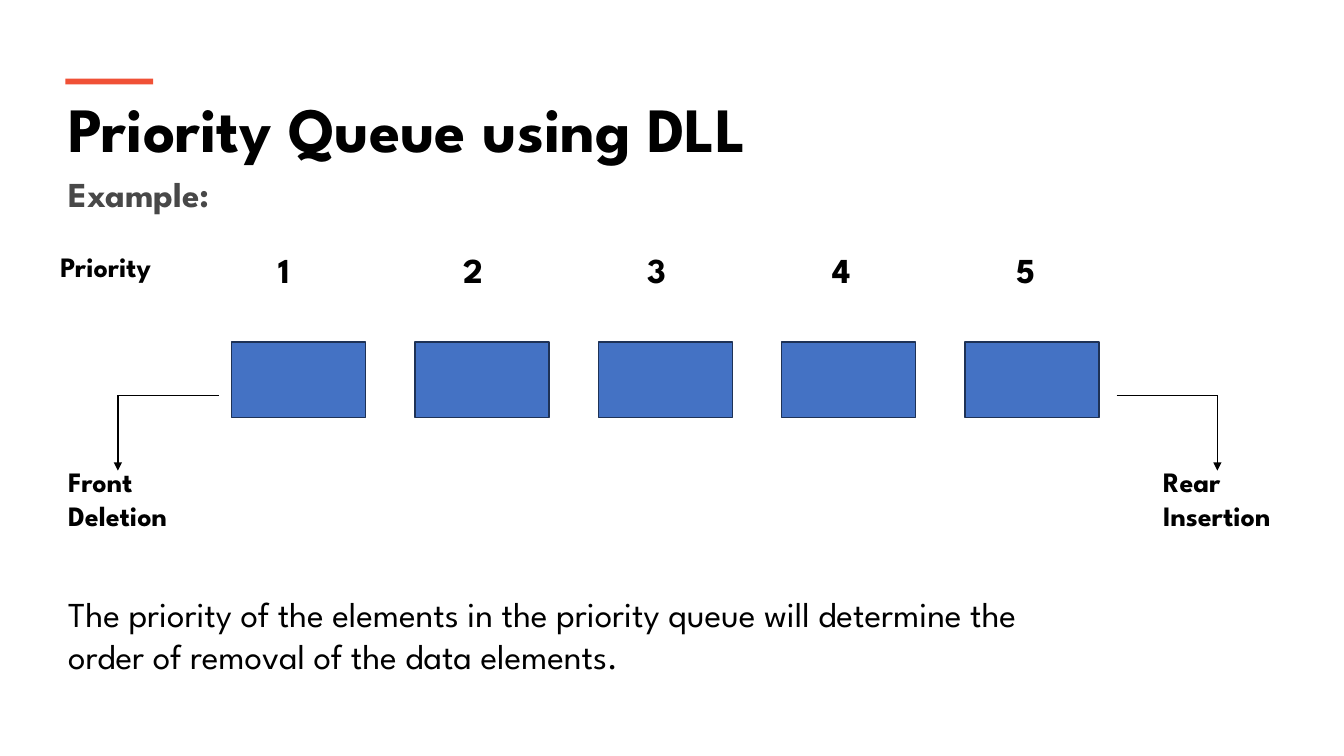
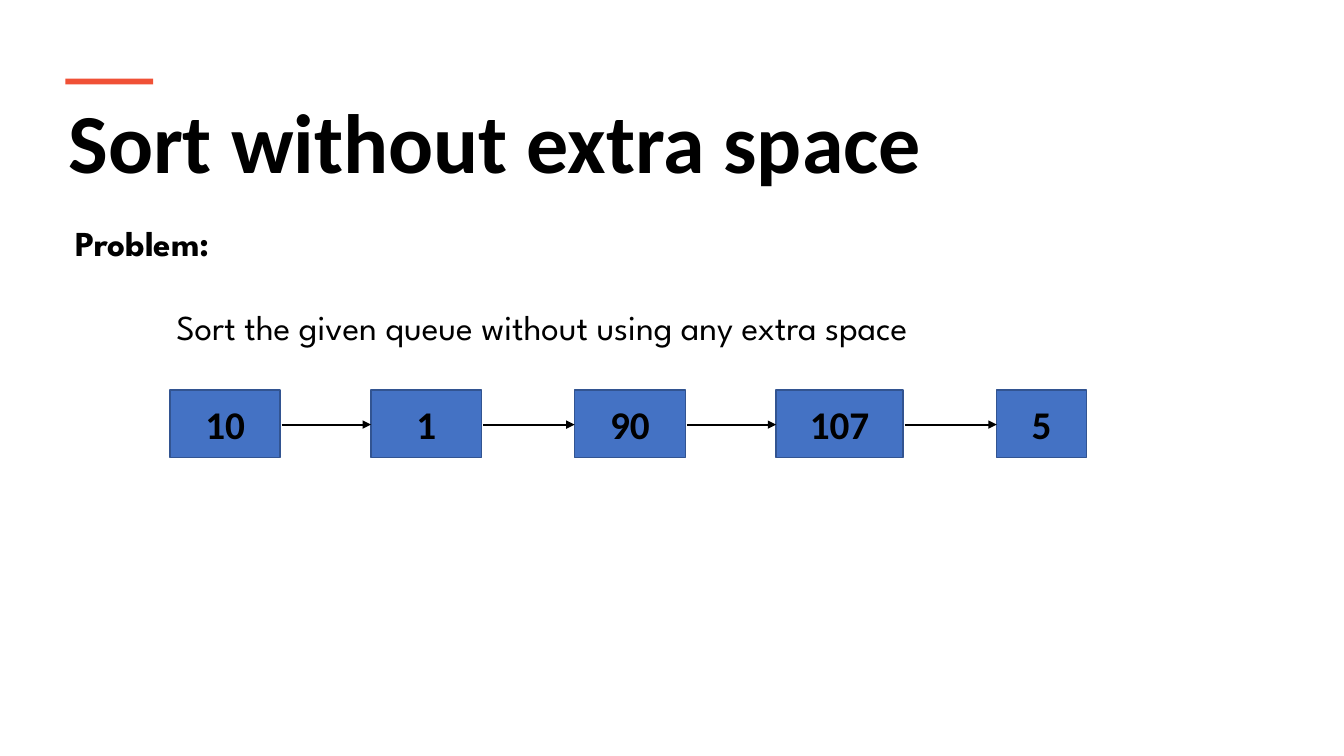
from dataclasses import dataclass
from itertools import pairwise

from lxml.etree import SubElement
from pptx import Presentation
from pptx.dml.color import RGBColor
from pptx.enum.shapes import MSO_CONNECTOR, MSO_SHAPE
from pptx.enum.text import MSO_ANCHOR, MSO_AUTO_SIZE, PP_ALIGN
from pptx.oxml.ns import qn
from pptx.shapes.autoshape import Shape
from pptx.slide import Slide
from pptx.util import Cm, Pt

BLACK = "000000"
GREY = "484848"
ACCENT = "F05136"
NODE_FILL = "4472C4"
PRIORITY_OUTLINE = "1E3256"
QUEUE_OUTLINE = "325491"
SPARTAN = "League Spartan"
CALIBRI = "Calibri"


@dataclass(frozen=True)
class Area:
    left: float
    top: float
    width: float
    height: float

    @property
    def right(self) -> float:
        return self.left + self.width


@dataclass(frozen=True)
class Style:
    size: float
    bold: bool = True
    font: str = SPARTAN
    color: str = BLACK


@dataclass(frozen=True)
class Line:
    text: str
    style: Style
    indent: float = 0
    before: float = 0


@dataclass(frozen=True)
class QueueNode:
    value: str
    left: float
    width: float


LABEL = Style(20)
HEADING = Style(25)
SENTENCE = Style(25, bold=False)
NODE_VALUE = Style(28, font=CALIBRI)
QUEUE = [
    QueueNode("10", 4.29, 2.77),
    QueueNode("1", 9.35, 2.79),
    QueueNode("90", 14.48, 2.79),
    QueueNode("107", 19.56, 3.2),
    QueueNode("5", 25.12, 2.26),
]


def rgb(color: str) -> RGBColor:
    return RGBColor.from_string(color)


def place(shape: Shape, area: Area) -> None:
    shape.left, shape.top = Cm(area.left), Cm(area.top)
    shape.width, shape.height = Cm(area.width), Cm(area.height)


def write(shape: Shape, lines: list[Line], align: PP_ALIGN = PP_ALIGN.LEFT,
          anchor: MSO_ANCHOR = MSO_ANCHOR.TOP) -> None:
    frame = shape.text_frame
    frame.word_wrap = True
    frame.auto_size = MSO_AUTO_SIZE.NONE
    frame.vertical_anchor = anchor
    for index, line in enumerate(lines):
        paragraph = frame.add_paragraph() if index else frame.paragraphs[0]
        paragraph.alignment = align
        paragraph.space_before = Pt(line.before)
        properties = paragraph._p.get_or_add_pPr()
        properties.set("marL", str(Cm(line.indent)))
        properties.set("indent", "0")
        SubElement(properties, qn("a:buNone"))
        run = paragraph.add_run()
        run.text = line.text
        run.font.name = line.style.font
        run.font.size = Pt(line.style.size)
        run.font.bold = line.style.bold
        run.font.color.rgb = rgb(line.style.color)


def add_label(slide: Slide, area: Area, style: Style, *texts: str) -> None:
    label = slide.shapes.add_textbox(0, 0, 0, 0)
    place(label, area)
    write(label, [Line(text, style) for text in texts])


def add_block(slide: Slide, area: Area, fill: str, outline: str | None = None) -> Shape:
    block = slide.shapes.add_shape(MSO_SHAPE.RECTANGLE, 0, 0, 0, 0)
    place(block, area)
    block.shadow.inherit = False
    block.fill.solid()
    block.fill.fore_color.rgb = rgb(fill)
    if outline:
        block.line.color.rgb = rgb(outline)
        block.line.width = Pt(1)
    else:
        block.line.fill.background()
    return block


def add_link(slide: Slide, start: tuple[float, float], end: tuple[float, float],
             weight: float, arrow: bool = True) -> None:
    link = slide.shapes.add_connector(
        MSO_CONNECTOR.STRAIGHT, *(Cm(value) for value in (*start, *end)))
    link.line.color.rgb = rgb(BLACK)
    link.line.width = Pt(weight)
    if arrow:
        SubElement(link.line._get_or_add_ln(), qn("a:tailEnd"), type="triangle")
    SubElement(link._element.spPr, qn("a:effectLst"))


def add_topic(deck: Presentation, title: str, title_style: Style, title_height: float,
              body_area: Area, body_lines: list[Line]) -> Slide:
    slide = deck.slides.add_slide(deck.slide_layouts[1])
    heading, body = slide.placeholders
    place(heading, Area(1.47, 2.13, 30.94, title_height))
    write(heading, [Line(title, title_style)])
    place(body, body_area)
    write(body, body_lines)
    add_block(slide, Area(1.65, 1.98, 2.21, 0.15), ACCENT)
    return slide


def build_priority_queue(deck: Presentation) -> None:
    slide = add_topic(
        deck, "Priority Queue using DLL", Style(45), 2.18,
        Area(1.47, 4.22, 30.84, 1.32), [Line("Example:", Style(25, color=GREY))])

    add_label(slide, Area(1.27, 6.15, 3.2, 1.12), LABEL, "Priority")
    for position in range(5):
        add_block(slide, Area(5.84 + 4.62 * position, 8.62, 3.38, 1.9),
                  NODE_FILL, PRIORITY_OUTLINE)
        add_label(slide, Area(6.78 + 4.65 * position, 6.15, 1.1, 1.32),
                  HEADING, str(position + 1))

    for inner, outer in ((5.51, 2.97), (28.14, 30.68)):
        add_link(slide, (inner, 9.96), (outer, 9.96), 1, arrow=False)
        add_link(slide, (outer, 9.96), (outer, 11.86), 1)
    add_label(slide, Area(1.47, 11.58, 3.8, 1.96), LABEL, "Front", "Deletion")
    add_label(slide, Area(29.06, 11.58, 3.8, 1.96), LABEL, "Rear", "Insertion")
    add_label(slide, Area(1.47, 14.81, 27.48, 2.39), SENTENCE,
              "The priority of the elements in the priority queue will determine the",
              "order of removal of the data elements.")


def build_sorting(deck: Presentation) -> None:
    slide = add_topic(
        deck, "Sort without extra space", Style(60, font=CALIBRI), 2.82,
        Area(1.65, 5.46, 30.84, 3.6),
        [Line("Problem:", HEADING),
         Line("Sort the given queue without using any extra space", SENTENCE,
              indent=2.54, before=30)])

    areas = [Area(node.left, 9.83, node.width, 1.7) for node in QUEUE]
    for node, area in zip(QUEUE, areas):
        block = add_block(slide, area, NODE_FILL, QUEUE_OUTLINE)
        write(block, [Line(node.value, NODE_VALUE)], PP_ALIGN.CENTER, MSO_ANCHOR.MIDDLE)
    for current, following in pairwise(areas):
        add_link(slide, (current.right + 0.04, 10.7), (following.left, 10.7), 1.5)


def main() -> None:
    deck = Presentation()
    deck.slide_width, deck.slide_height = Cm(33.87), Cm(19.05)
    build_priority_queue(deck)
    build_sorting(deck)
    deck.save("out.pptx")


if __name__ == "__main__":
    main()
